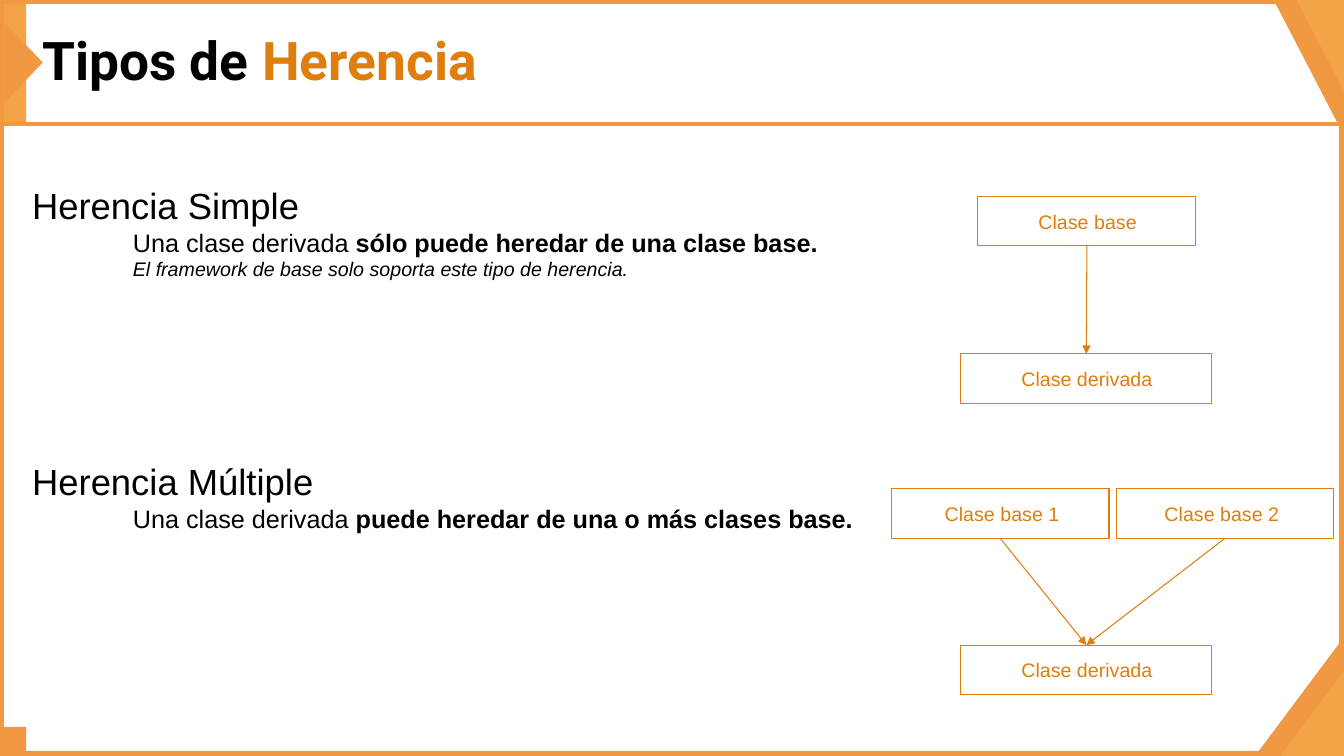
import pptx
import pptx.util
import pptx.dml.color
import pptx.enum.shapes
import pptx.enum.text
from lxml import etree
from pptx.oxml.ns import qn
from pptx.util import Inches, Pt

SHAPE = pptx.enum.shapes.MSO_SHAPE
MIDDLE = pptx.enum.text.MSO_ANCHOR.MIDDLE
ORANGE, LIGHT, DARK = "F09842", "F3A447", "DD7E0E"


def rgb(color):
    return pptx.dml.color.RGBColor.from_string(color)


def add_runs(p, runs, size, font="Arial"):
    """Fill a paragraph with (text, color, bold, italic) runs."""
    for text, color, bold, italic in runs:
        r = p.add_run()
        r.text = text
        r.font.name, r.font.size = font, Pt(size)
        r.font.bold, r.font.italic = bold, italic
        r.font.color.rgb = rgb(color)


prs = pptx.Presentation()
prs.slide_width, prs.slide_height = Inches(13.33), Inches(7.5)
s = prs.slides.add_slide(prs.slide_layouts[6])

# Frame: left, top, width, height, rotation, shape, fill, line
frame = [
    (-0.03, -0.01, 0.29, 1.24, 0, SHAPE.RECTANGLE, LIGHT, None),
    (-0.01, 0.02, 13.33, 1.21, 0, SHAPE.RECTANGLE, None, ORANGE),
    (-0.16, 0.43, 0.79, 0.38, 90, SHAPE.ISOSCELES_TRIANGLE, ORANGE, None),
    (13.28, -0.03, 0.07, 7.54, 0, SHAPE.RECTANGLE, ORANGE, None),
    (-0.03, 0.02, 0.07, 7.5, 0, SHAPE.RECTANGLE, ORANGE, None),
    (-0.03, -0.03, 13.37, 0.07, 0, SHAPE.RECTANGLE, ORANGE, None),
    (-0.03, 7.45, 13.31, 0.07, 0, SHAPE.RECTANGLE, ORANGE, None),
    (-0.01, 7.21, 0.27, 0.28, 0, SHAPE.RECTANGLE, ORANGE, None),
    (12.86, 6.34, 0.62, 1.73, 35.5, SHAPE.RECTANGLE, LIGHT, None),
    (13.03, -0.35, 0.62, 1.73, 331.2, SHAPE.RECTANGLE, LIGHT, None),
    (12.97, -0.19, 0.2, 1.63, 332.6, SHAPE.RECTANGLE, ORANGE, None),
    (12.85, 6.18, 0.2, 1.63, 36.8, SHAPE.RECTANGLE, ORANGE, None),
]
for left, top, width, height, rotation, kind, fill, line in frame:
    sp = s.shapes.add_shape(kind, Inches(left), Inches(top), Inches(width), Inches(height))
    sp.shadow.inherit = False
    sp.rotation = rotation
    if fill:
        sp.fill.solid()
        sp.fill.fore_color.rgb = rgb(fill)
    else:
        sp.fill.background()
    if line:
        sp.line.color.rgb = rgb(line)
        sp.line.width = Pt(3)
    else:
        sp.line.fill.background()

# Title
tf = s.shapes.add_textbox(Inches(0.42), Inches(-0.1), Inches(10.9), Inches(1.45)).text_frame
tf.word_wrap = True
tf.vertical_anchor = MIDDLE
tf.margin_left = tf.margin_right = 0
tf.margin_top = tf.margin_bottom = Inches(0.1)
tf.paragraphs[0].line_spacing = 0.9
add_runs(tf.paragraphs[0], [("Tipos de ", "000000", True, False),
                            ("Herencia", DARK, True, False)], 38, "Roboto")

# Definitions: top, width, height, heading, normal text, bold text, italic note
definitions = [
    (1.72, 8.66, 1.18, "Herencia Simple", "Una clase derivada ",
     "sólo puede heredar de una clase base.",
     "El framework de base solo soporta este tipo de herencia."),
    (4.46, 8.75, 0.94, "Herencia Múltiple", "Una clase derivada ",
     "puede heredar de una o más clases base.", None),
]
for top, width, height, heading, normal, bold, note in definitions:
    tf = s.shapes.add_textbox(Inches(0.22), Inches(top), Inches(width), Inches(height)).text_frame
    tf.word_wrap = True
    tf.margin_left = tf.margin_right = tf.margin_top = tf.margin_bottom = Inches(0.1)
    add_runs(tf.paragraphs[0], [(heading, "000000", False, False)], 26)
    details = [([(normal, "000000", False, False), (bold, "000000", True, False)], 18)]
    if note:
        details.append(([(note, "000000", False, True)], 14))
    for runs, size in details:
        p = tf.add_paragraph()
        p._p.get_or_add_pPr().set("marL", str(Inches(1)))
        add_runs(p, runs, size)

# Class boxes: text, left, top, width, text indent
classes = [
    ("Clase base", 9.7, 1.95, 2.16, 0.5),
    ("Clase derivada", 9.53, 3.51, 2.49, 0.5),
    ("Clase base 1", 8.84, 4.85, 2.16, 0.43),
    ("Clase base 2", 11.07, 4.85, 2.16, 0.38),
    ("Clase derivada", 9.53, 6.4, 2.49, 0.5),
]
boxes = []
for text, left, top, width, indent in classes:
    sp = s.shapes.add_shape(SHAPE.RECTANGLE, Inches(left), Inches(top), Inches(width), Inches(0.49))
    sp.shadow.inherit = False
    sp.fill.solid()
    sp.fill.fore_color.rgb = rgb("FFFFFF")
    sp.line.color.rgb = rgb(DARK)
    sp.line.width = Pt(0.75)
    tf = sp.text_frame
    tf.vertical_anchor = MIDDLE
    tf.margin_left = Inches(0.1 + indent)
    tf.margin_right = tf.margin_top = tf.margin_bottom = Inches(0.1)
    tf.paragraphs[0].alignment = pptx.enum.text.PP_ALIGN.LEFT
    add_runs(tf.paragraphs[0], [(text, DARK, False, False)], 14)
    boxes.append(sp)

# Arrows from the bottom of each base class to the top of its derived class
for base, derived in [(0, 1), (2, 4), (3, 4)]:
    arrow = s.shapes.add_connector(pptx.enum.shapes.MSO_CONNECTOR.STRAIGHT, 0, 0, 0, 0)
    arrow.begin_connect(boxes[base], 2)
    arrow.end_connect(boxes[derived], 0)
    arrow.line.color.rgb = rgb(DARK)
    arrow.line.width = Pt(0.75)
    etree.SubElement(arrow.line._get_or_add_ln(), qn("a:tailEnd"), type="triangle")
    etree.SubElement(arrow._element.spPr, qn("a:effectLst"))

prs.save("out.pptx")
